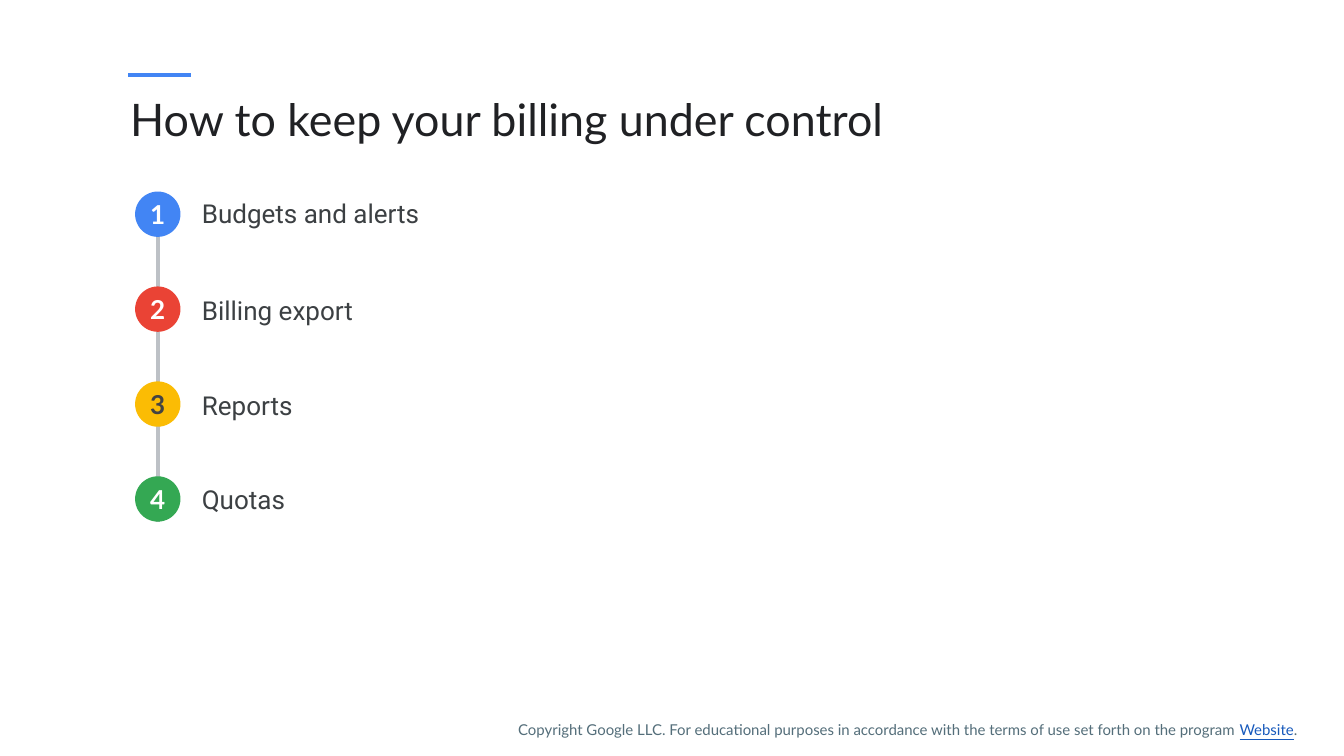
"""Build the slide on keeping billing under control."""
from lxml.etree import SubElement
from pptx import Presentation
from pptx.dml.color import RGBColor
from pptx.enum.shapes import MSO_CONNECTOR, MSO_SHAPE
from pptx.enum.text import MSO_ANCHOR, PP_ALIGN
from pptx.oxml.ns import qn
from pptx.util import Pt

COLORS = {
    "blue": "4285F4", "red": "EA4335", "yellow": "FBBC04", "green": "34A853",
    "white": "FFFFFF", "dark": "434343", "title": "202124", "label": "3C4043",
    "rail": "BDC1C6", "footer": "546E7A", "link": "185ABC",
}
STEPS = [
    ("Budgets and alerts", "blue", "white", 131.8),
    ("Billing export", "red", "white", 200.9),
    ("Reports", "yellow", "dark", 268.6),
    ("Quotas", "green", "white", 336.2),
]
LEFT, TOP, SIZE, PITCH = 96.5, 136.8, 32.4, 67.8


def add_line(x1, y1, x2, y2, color):
    s = slide.shapes.add_connector(
        MSO_CONNECTOR.STRAIGHT, Pt(x1), Pt(y1), Pt(x2), Pt(y2))
    s.line.color.rgb = RGBColor.from_string(COLORS[color])
    s.line.width = Pt(3)
    SubElement(s._element.spPr, qn("a:effectLst"))


def add_text(s, runs, size, font, inset, bold=False):
    tf = s.text_frame
    tf.word_wrap = True
    tf.margin_left = tf.margin_right = Pt(inset)
    tf.margin_top = tf.margin_bottom = Pt(inset)
    p = tf.paragraphs[0]
    for text, color in runs:
        r = p.add_run()
        r.text = text
        r.font.size = Pt(size)
        r.font.name = font
        r.font.bold = bold
        r.font.underline = color == "link"
        r.font.color.rgb = RGBColor.from_string(COLORS[color])
    return tf


prs = Presentation()
prs.slide_width, prs.slide_height = Pt(960), Pt(540)
slide = prs.slides.add_slide(prs.slide_layouts[6])

add_line(91.5, 53.5, 136.5, 53.5, "blue")
title = slide.shapes.add_textbox(Pt(88), Pt(60.5), Pt(775.5), Pt(60))
add_text(title, [("How to keep your billing under control", "title")], 32, "Lato", 5)

footer = slide.shapes.add_textbox(Pt(360.7), Pt(505.4), Pt(594), Pt(27.4))
tf = add_text(footer, [
    ("Copyright Google LLC. For educational purposes in accordance with "
     "the terms of use set forth on the program ", "footer"),
    ("Website", "link"),
    (".", "footer"),
], 10.7, "Lato", 9.4)
tf.paragraphs[0].line_spacing = 1.15

center = LEFT + SIZE / 2
last_bottom = TOP + (len(STEPS) - 1) * PITCH + SIZE
add_line(center, TOP + SIZE, center, last_bottom, "rail")

for i, (label, fill, ink, label_top) in enumerate(STEPS):
    s = slide.shapes.add_shape(
        MSO_SHAPE.OVAL, Pt(LEFT), Pt(TOP + i * PITCH), Pt(SIZE), Pt(SIZE))
    s.shadow.inherit = False
    s.fill.solid()
    s.fill.fore_color.rgb = RGBColor.from_string(COLORS[fill])
    s.line.fill.background()
    tf = add_text(s, [(str(i + 1), ink)], 18.6, "Lato", 0, bold=True)
    tf.vertical_anchor = MSO_ANCHOR.MIDDLE
    tf.paragraphs[0].alignment = PP_ALIGN.CENTER

    s = slide.shapes.add_textbox(Pt(134.8), Pt(label_top), Pt(333.4), Pt(36.7))
    add_text(s, [(label, "label")], 18.6, "Roboto", 9.4)

prs.save("out.pptx")
